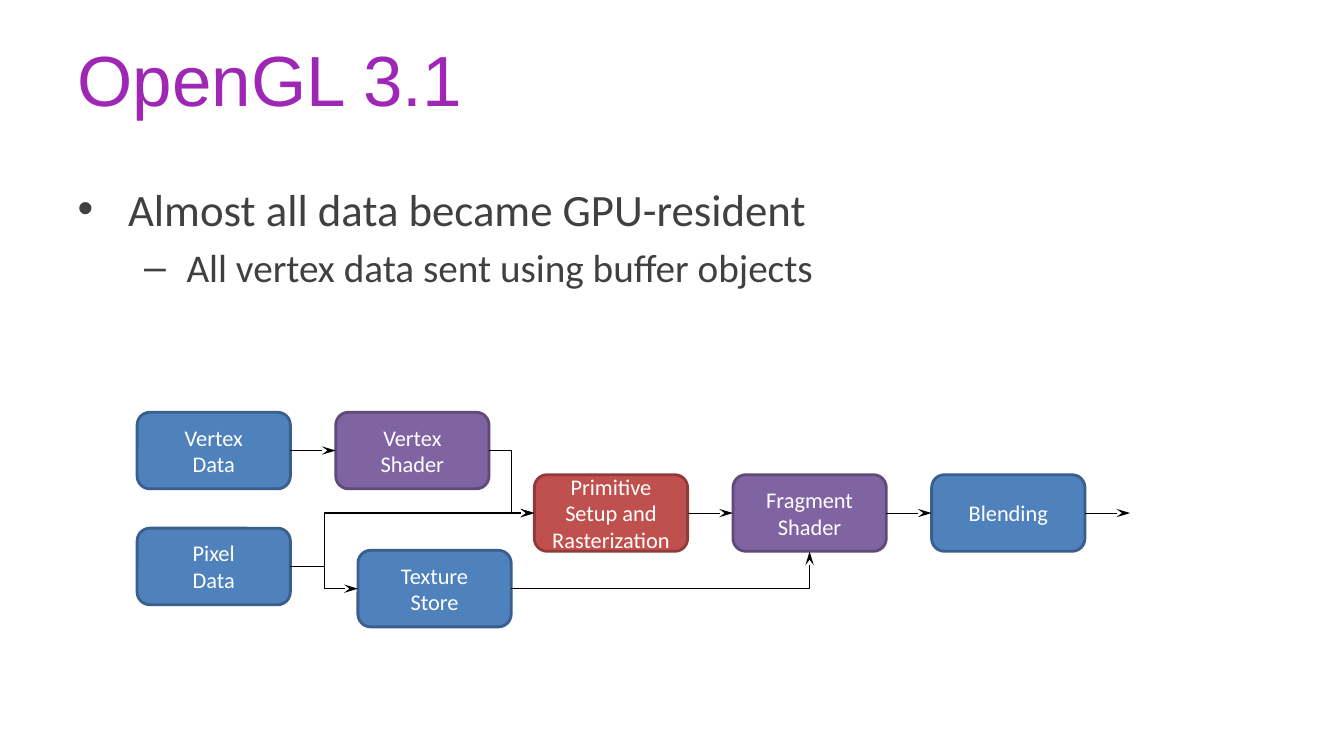
from lxml import etree
from pptx import Presentation
from pptx.dml.color import RGBColor
from pptx.enum import shapes, text
from pptx.oxml import ns
from pptx.util import Inches, Pt

COLORS = {
    "title": "9E28B5", "body": "404040", "label": "FFFFFF", "arrow": "000000",
    "blue": "4F81BD", "blue_edge": "3A5F8C",
    "purple": "8064A2", "purple_edge": "5F4A78",
    "red": "C0504D", "red_edge": "8E3B39",
}
COLUMNS = [1.36 + 1.97 * index for index in range(5)]
STAGE_WIDTH, STAGE_HEIGHT = 1.52, 0.76
UPPER, MIDDLE, LOWER, BOTTOM = 4.09, 4.71, 5.24, 5.46

# Stage label: left, top, colour
STAGES = {
    "Vertex\vData": (COLUMNS[0], UPPER, "blue"),
    "Pixel\vData": (COLUMNS[0], LOWER, "blue"),
    "Vertex Shader": (COLUMNS[1], UPPER, "purple"),
    "Texture\vStore": (3.55, BOTTOM, "blue"),
    "Primitive\nSetup and Rasterization": (COLUMNS[2], MIDDLE, "red"),
    "Fragment Shader": (COLUMNS[3], MIDDLE, "purple"),
    "Blending": (COLUMNS[4], MIDDLE, "blue"),
}
# Connection sites of a rounded rectangle
LEFT_SITE, BOTTOM_SITE, RIGHT_SITE = 1, 2, 3


def color(name):
    return RGBColor.from_string(COLORS[name])


def add_xml(parent, tag, **attributes):
    return etree.SubElement(parent, ns.qn(tag), attributes)


def format_runs(para, font, size, color_name):
    for span in para.runs:
        span.font.name = font
        span.font.size = Pt(size)
        span.font.color.rgb = color(color_name)


def fill_placeholder(box, wording, top, height):
    box.left, box.top = Inches(0.67), Inches(top)
    box.width, box.height = Inches(12), Inches(height)
    frame = box.text_frame
    frame.text = wording
    frame.auto_size = text.MSO_AUTO_SIZE.NONE
    frame.vertical_anchor = text.MSO_ANCHOR.TOP
    frame.margin_top = Inches(0.05)
    return frame.paragraphs


def format_bullet(para, level, mark, margin, hanging, size):
    para.level = level
    properties = para._p.get_or_add_pPr()
    properties.set("marL", str(Inches(margin)))
    properties.set("indent", str(-Inches(hanging)))
    add_xml(properties, "a:buFont", typeface="Arial")
    add_xml(properties, "a:buChar", char=mark)
    para.space_before = Pt(0.2 * size if level else 0)
    format_runs(para, "Calibri", size, "body")


def add_stage(page, label, left, top, color_name):
    box = page.shapes.add_shape(
        shapes.MSO_SHAPE.ROUNDED_RECTANGLE, Inches(left), Inches(top),
        Inches(STAGE_WIDTH), Inches(STAGE_HEIGHT))
    box.shadow.inherit = False
    box.fill.solid()
    box.fill.fore_color.rgb = color(color_name)
    box.line.color.rgb = color(color_name + "_edge")
    box.line.width = Pt(2)
    frame = box.text_frame
    frame.text = label
    frame.word_wrap = True
    frame.vertical_anchor = text.MSO_ANCHOR.MIDDLE
    frame.margin_left = frame.margin_right = Inches(0.13)
    for para in frame.paragraphs:
        para.alignment = text.PP_ALIGN.CENTER
        format_runs(para, "Calibri", 16, "label")
    return box


def add_arrow(page, start, end=None, end_site=LEFT_SITE, bend=None):
    """Lead from the right of start to a site of end, or off to the right."""
    kind = shapes.MSO_CONNECTOR.STRAIGHT
    if bend is not None or end_site == BOTTOM_SITE:
        kind = shapes.MSO_CONNECTOR.ELBOW
    right, middle = start.left + start.width, start.top + start.height // 2
    arrow = page.shapes.add_connector(
        kind, right, middle, right + Inches(0.45), middle)
    arrow.begin_connect(start, RIGHT_SITE)
    if end is not None:
        arrow.end_connect(end, end_site)
    arrow.line.color.rgb = color("arrow")
    arrow.line.width = Pt(0.75)
    properties = arrow._element.spPr
    geometry = properties.find(ns.qn("a:prstGeom"))
    if end_site == BOTTOM_SITE:
        geometry.set("prst", "bentConnector2")
    if bend is not None:
        add_xml(geometry.find(ns.qn("a:avLst")), "a:gd",
                name="adj1", fmla=f"val {round(bend * 100000)}")
    add_xml(properties.find(ns.qn("a:ln")), "a:tailEnd",
            type="stealth", w="med", len="lg")
    add_xml(properties, "a:effectLst")


def main():
    deck = Presentation()
    deck.slide_width, deck.slide_height = Inches(13.33), Inches(7.5)
    page = deck.slides.add_slide(deck.slide_layouts[1])

    # Title
    heading, = fill_placeholder(page.shapes.title, "OpenGL 3.1", 0.3, 1.25)
    heading.alignment = text.PP_ALIGN.LEFT
    format_runs(heading, "Arial", 50.7, "title")

    # List
    point, detail = fill_placeholder(
        page.placeholders[1],
        "Almost all data became GPU-resident\n"
        "All vertex data sent using buffer objects", 1.75, 4.95)
    format_bullet(point, 0, "•", 0.5, 0.5, 32)
    format_bullet(detail, 1, "–", 1.08, 0.42, 28)

    # Pipeline stages
    (vertex_data, pixel_data, vertex_shader, texture_store, rasterizer,
     fragment_shader, blending) = [
        add_stage(page, label, *stage) for label, stage in STAGES.items()]

    # Data flow
    add_arrow(page, vertex_data, vertex_shader)
    add_arrow(page, vertex_shader, rasterizer, bend=0.5)
    add_arrow(page, pixel_data, rasterizer, bend=0.14)
    add_arrow(page, pixel_data, texture_store, bend=0.5)
    add_arrow(page, texture_store, fragment_shader, end_site=BOTTOM_SITE)
    add_arrow(page, rasterizer, fragment_shader)
    add_arrow(page, fragment_shader, blending)
    add_arrow(page, blending)

    deck.save("out.pptx")


if __name__ == "__main__":
    main()
